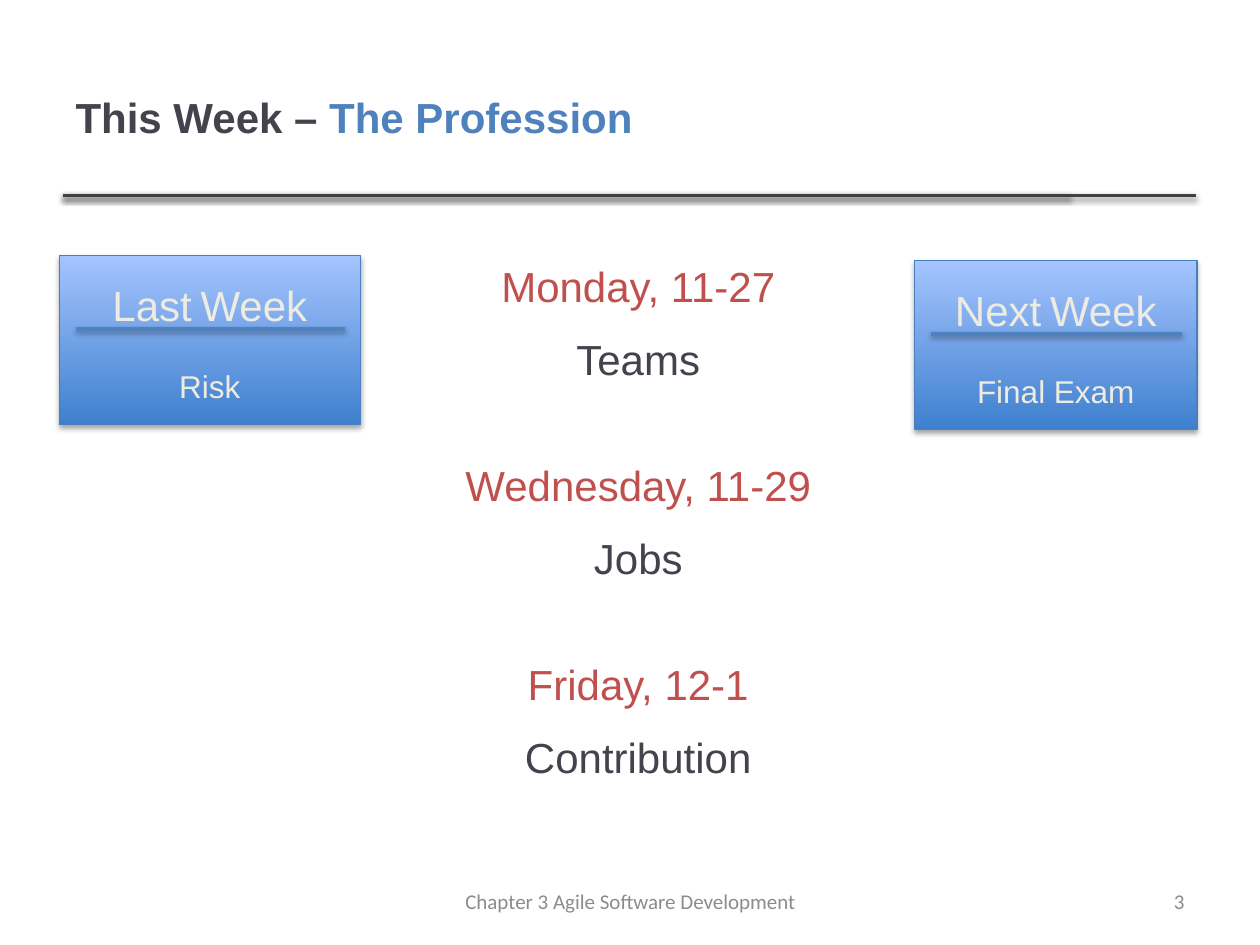
from lxml import etree
from pptx import Presentation
from pptx.dml.color import RGBColor
from pptx.enum.shapes import MSO_CONNECTOR as Conn, MSO_SHAPE as Shape
from pptx.enum.text import MSO_ANCHOR as Anchor, PP_ALIGN as Align
from pptx.oxml import parse_xml
from pptx.oxml.ns import nsdecls, qn
from pptx.util import Inches, Pt

DARK, BLUE, RED = "46424D", "4F81BD", "C0504D"
CREAM, GREY, RULE = "EEECE1", "8C8C8C", "404040"


def color(code):
    return RGBColor.from_string(code)


class Deck:
    font = "Arial"

    def __init__(self, deck):
        layout = deck.slide_layouts[5]
        self.slide = deck.slides.add_slide(layout)
        self.shapes = self.slide.shapes

    def place(self, shape, box):
        shape.left, shape.top, shape.width, shape.height = map(Inches, box)

    def run(self, para, text, size, code, font=None, bold=False):
        run = para.add_run()
        run.text = text
        run.font.size, run.font.bold = Pt(size), bold
        run.font.name = font or self.font
        run.font.color.rgb = color(code)

    def shade(self, shape, alpha, dist):
        props = shape._element.spPr
        for old in props.findall(qn("a:effectLst")):
            props.remove(old)
        effect = etree.SubElement(props, qn("a:effectLst"))
        effect.append(parse_xml(
            f'<a:outerShdw {nsdecls("a")} blurRad="{Pt(3.1)}" '
            f'dist="{Pt(dist)}" dir="5400000" rotWithShape="0">'
            f'<a:srgbClr val="000000"><a:alpha val="{alpha}000"/>'
            '</a:srgbClr></a:outerShdw>'))

    def line(self, left, right, y, code, home=None):
        ends = map(Inches, (left, y, right, y))
        line = (home or self.shapes).add_connector(Conn.STRAIGHT, *ends)
        line.line.color.rgb, line.line.width = color(code), Pt(2)
        self.shade(line, 38, 1.6)

    def title(self, box, parts):
        title = self.shapes.title
        self.place(title, box)
        frame = title.text_frame
        frame.vertical_anchor = Anchor.MIDDLE
        para = frame.paragraphs[0]
        para.alignment = Align.LEFT
        for text, code in parts:
            self.run(para, text, 24, code, bold=True)

    def text(self, box, rows, align=Align.CENTER, anchor=Anchor.TOP,
             font=None, home=None):
        """Each row holds its runs, then the space before and after it."""
        frame = (home or self.shapes).add_textbox(
            *map(Inches, box)).text_frame
        frame.word_wrap, frame.vertical_anchor = True, anchor
        for i, (runs, before, after) in enumerate(rows):
            para = frame.add_paragraph() if i else frame.paragraphs[0]
            para.alignment = align
            para.space_before, para.space_after = Pt(before), Pt(after)
            for text, size, code in runs:
                self.run(para, text, size, code, font)

    def card(self, left, top, width, head, topic):
        group = self.shapes.add_group_shape().shapes
        rect = group.add_shape(
            Shape.RECTANGLE, *map(Inches, (left, top, width, 1.34)))
        rect.fill.gradient()
        rect.fill.gradient_angle = 90
        for stop, code in zip(rect.fill.gradient_stops, ("3F80CE", "A4C4FF")):
            stop.color.rgb = color(code)
        first, last = rect.fill.gradient_stops
        first.position, last.position = 0, 1
        rect.line.color.rgb, rect.line.width = color("4B7EBC"), Pt(0.75)
        self.shade(rect, 35, 1.8)
        rows = [([(head, 24, CREAM), (" ", 18, CREAM), ("Week", 24, CREAM)],
                 0, 0),
                ([(topic, 18, CREAM)], 21, 0)]
        self.text((left, top + 0.14, width, 1.11), rows, home=group)
        self.line(left + 0.13, left + width - 0.12, top + 0.58, BLUE, group)


def main():
    deck = Presentation()
    deck.slide_width, deck.slide_height = Inches(10), Inches(7.5)
    page = Deck(deck)

    # Title and the double rule below it
    for right in (8.49, 9.49):
        page.line(0.5, right, 1.55, RULE)
    page.title((0.5, 0.3, 7.98, 1.25),
               [("This Week – ", DARK), ("The Profession", BLUE)])

    # Days of the week
    days = [("Monday, 11-27", "Teams"), ("Wednesday, 11-29", "Jobs"),
            ("Friday, 12-1", "Contribution")]
    rows = []
    for i, (day, topic) in enumerate(days):
        rows.append(([(day, 24, RED)], 37 if i else 6, 6))
        rows.append(([(topic, 24, DARK)], 7, 6))
    page.text((3.27, 2.02, 3.59, 3.79), rows)

    # Neighbouring weeks
    page.card(7.26, 2.07, 2.24, "Next", "Final Exam")
    page.card(0.47, 2.03, 2.39, "Last", "Risk")

    # Footer and page number
    for box, text, align in [
            ((3.42, 6.95, 3.17, 0.4), "Chapter 3 Agile Software Development",
             Align.CENTER),
            ((7.17, 6.95, 2.33, 0.4), "3", Align.RIGHT)]:
        page.text(box, [([(text, 12, GREY)], 0, 0)], align, Anchor.MIDDLE,
                  "Calibri")

    deck.save("out.pptx")


if __name__ == "__main__":
    main()
